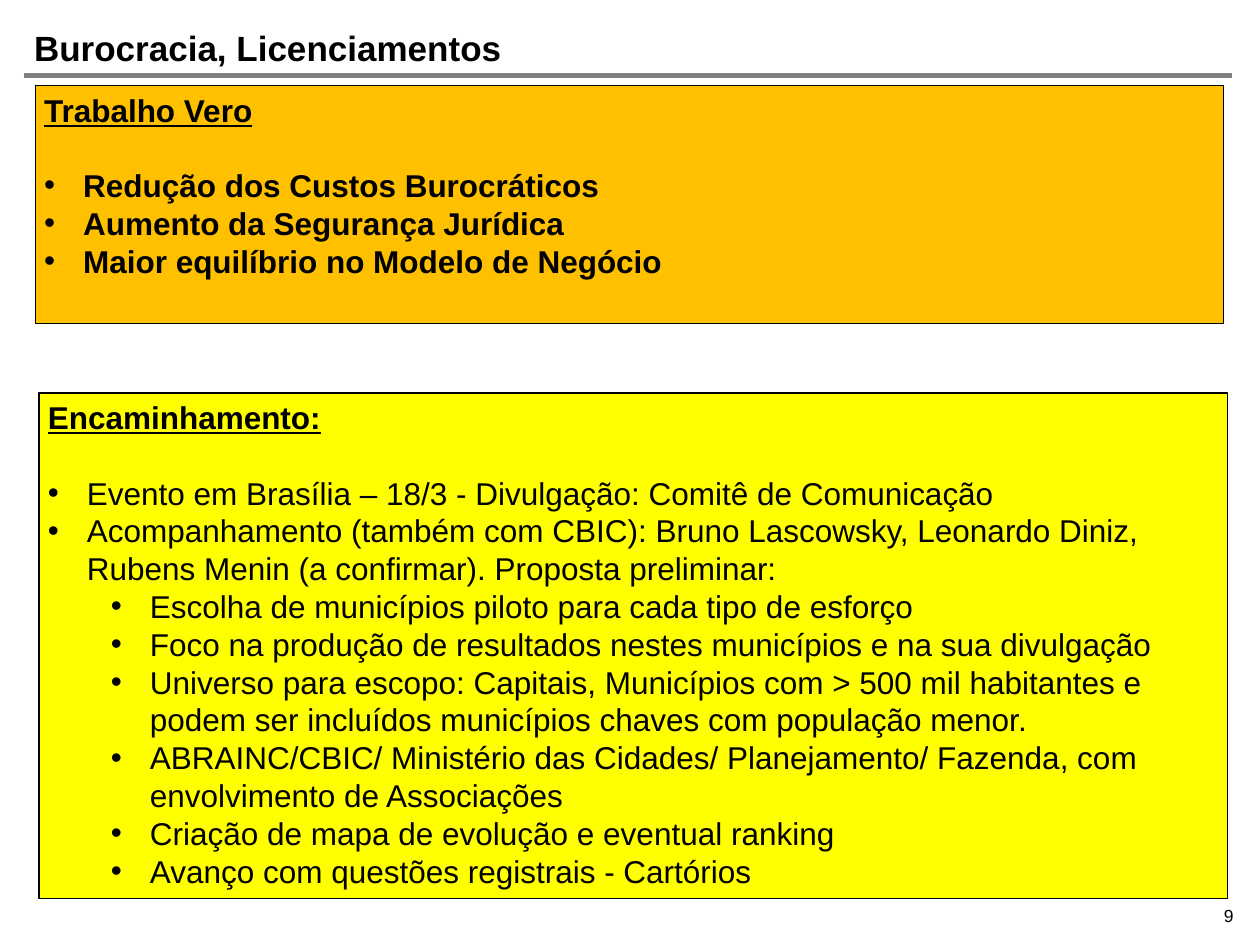
from dataclasses import dataclass

from lxml import etree
from pptx import Presentation
from pptx import util as u
from pptx.dml.color import RGBColor
from pptx.enum import shapes, text
from pptx.oxml import ns


@dataclass(frozen=True)
class Theme:
    font: str = "Arial"
    ink: str = "000000"
    rule: str = "808080"
    work: str = "FFC000"
    plan: str = "FFFF00"
    title_size: float = 20
    body_size: float = 18
    number_size: float = 10
    blank_line: float = 21.5


THEME = Theme()

WORK_ITEMS = [
    (0, "Redução dos Custos Burocráticos"),
    (0, "Aumento da Segurança Jurídica"),
    (0, "Maior equilíbrio no Modelo de Negócio"),
]
PLAN_ITEMS = [
    (0, "Evento em Brasília – 18/3 - Divulgação: Comitê de Comunicação"),
    (0, "Acompanhamento (também com CBIC): Bruno Lascowsky, Leonardo Diniz, "
        "Rubens Menin (a confirmar). Proposta preliminar:"),
    (1, "Escolha de municípios piloto para cada tipo de esforço"),
    (1, "Foco na produção de resultados nestes municípios e na sua divulgação"),
    (1, "Universo para escopo: Capitais, Municípios com > 500 mil habitantes e "
        "podem ser incluídos municípios chaves com população menor."),
    (1, "ABRAINC/CBIC/ Ministério das Cidades/ Planejamento/ Fazenda, com "
        "envolvimento de Associações"),
    (1, "Criação de mapa de evolução e eventual ranking"),
    (1, "Avanço com questões registrais - Cartórios"),
]


def apply(target, values):
    for name, value in values.items():
        setattr(target, name, value)


def place(shape, left, top, width, height):
    apply(shape, {"left": u.Inches(left), "top": u.Inches(top),
                  "width": u.Inches(width), "height": u.Inches(height)})


def set_frame(frame, anchor, side=0, edge=0):
    apply(frame, {
        "word_wrap": True, "auto_size": text.MSO_AUTO_SIZE.NONE,
        "vertical_anchor": anchor,
        "margin_left": u.Inches(side), "margin_right": u.Inches(side),
        "margin_top": u.Inches(edge), "margin_bottom": u.Inches(edge),
    })


def write(para, words, size, bold=False, underline=False, **layout):
    apply(para, {"alignment": text.PP_ALIGN.LEFT, "space_before": u.Pt(0), **layout})
    span = para.add_run()
    span.text = words
    apply(span.font, {"name": THEME.font, "size": u.Pt(size),
                      "bold": bold, "underline": underline})
    span.font.color.rgb = RGBColor.from_string(THEME.ink)


def set_bullet(para, indent=None):
    props = para._p.get_or_add_pPr()
    if indent is None:
        apply_indent = (0, 0)
        etree.SubElement(props, ns.qn("a:buNone"))
    else:
        apply_indent = (indent, -0.31)
        etree.SubElement(props, ns.qn("a:buFont"), typeface=THEME.font)
        etree.SubElement(props, ns.qn("a:buChar"), char="•")
    for name, value in zip(("marL", "indent"), apply_indent):
        props.set(name, str(u.Inches(value)))


def add_title(page, words):
    title = page.shapes.title
    place(title, 0.27, 0.25, 9.51, 0.35)
    set_frame(title.text_frame, text.MSO_ANCHOR.TOP)
    write(title.text_frame.paragraphs[0], words, THEME.title_size, bold=True,
          line_spacing=0.9)


def add_rule(page):
    rule = page.shapes.add_connector(
        shapes.MSO_CONNECTOR.STRAIGHT,
        u.Inches(0.19), u.Inches(0.6), u.Inches(9.78), u.Inches(0.6))
    rule.line.color.rgb = RGBColor.from_string(THEME.rule)
    rule.line.width = u.Pt(3.2)
    etree.SubElement(rule._element.spPr, ns.qn("a:effectLst"))


def fill_panel(box, area, color, heading, items, bold):
    place(box, *area)
    box.fill.solid()
    box.fill.fore_color.rgb = RGBColor.from_string(color)
    box.line.color.rgb = RGBColor.from_string(THEME.ink)
    box.line.width = u.Pt(0.75)
    frame = box.text_frame
    set_frame(frame, text.MSO_ANCHOR.TOP, 0.07, 0.04)
    para = frame.paragraphs[0]
    set_bullet(para)
    write(para, heading, THEME.body_size, bold=True, underline=True,
          space_after=u.Pt(THEME.blank_line))
    for level, words in items:
        para = frame.add_paragraph()
        set_bullet(para, 0.31 + 0.5 * level)
        write(para, words, THEME.body_size, bold=bold, level=level)


def add_page_number(page, number):
    box = page.shapes.add_textbox(0, 0, 0, 0)
    place(box, 7.45, 7.18, 2.34, 0.17)
    set_frame(box.text_frame, text.MSO_ANCHOR.BOTTOM)
    write(box.text_frame.paragraphs[0], number, THEME.number_size,
          alignment=text.PP_ALIGN.RIGHT)


def main():
    deck = Presentation()
    apply(deck, {"slide_width": u.Inches(10), "slide_height": u.Inches(7.5)})
    page = deck.slides.add_slide(deck.slide_layouts.get_by_name("Two Content"))
    work_box, plan_box = list(page.placeholders)[1:]
    add_rule(page)
    add_title(page, "Burocracia, Licenciamentos")
    fill_panel(work_box, (0.28, 0.68, 9.43, 1.89), THEME.work,
               "Trabalho Vero", WORK_ITEMS, bold=True)
    fill_panel(plan_box, (0.31, 3.12, 9.43, 4.01), THEME.plan,
               "Encaminhamento:", PLAN_ITEMS, bold=False)
    add_page_number(page, "9")
    deck.save("out.pptx")


if __name__ == "__main__":
    main()
